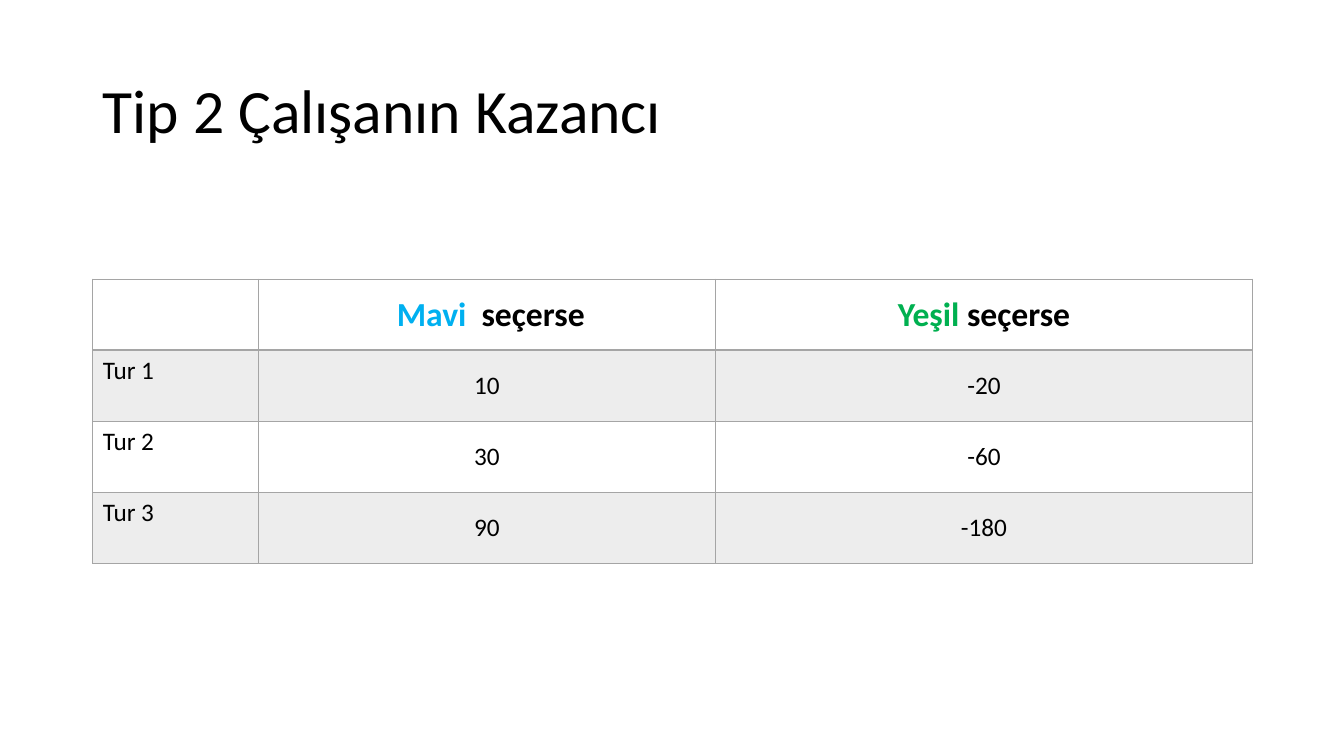
import pptx
import pptx.util
import pptx.dml.color
import pptx.enum.text
import pptx.oxml
import pptx.oxml.ns

Inches = pptx.util.Inches
Align = pptx.enum.text.PP_ALIGN
Anchor = pptx.enum.text.MSO_ANCHOR

COLORS = {
    "text": "000000",
    "blue": "00B0F0",
    "green": "00B050",
    "border": "A5A5A5",
    "band": "EDEDED",
}
FONT = "Calibri"
HEADERS = [
    [],
    [(" Mavi", "blue"), ("  seçerse", "text")],
    [("Yeşil", "green"), (" seçerse", "text")],
]
ROUNDS = [
    ("Tur 1", "10", "-20"),
    ("Tur 2", "30", "-60"),
    ("Tur 3", "90", "-180"),
]
COLUMN_WIDTHS = [1.64, 4.54, 5.32]


def rgb(name):
    return pptx.dml.color.RGBColor.from_string(COLORS[name])


def format_run(run, size, color="text", bold=False):
    run.font.name = FONT
    run.font.size = pptx.util.Pt(size)
    run.font.bold = bold
    run.font.color.rgb = rgb(color)


def add_borders(cell, widths):
    properties = cell._tc.get_or_add_tcPr()
    for side in ("L", "R", "T", "B"):
        width = pptx.util.Pt(widths.get(side, 1))
        properties.append(pptx.oxml.parse_xml(
            f'<a:ln{side} {pptx.oxml.ns.nsdecls("a")} w="{width}">'
            f'<a:solidFill><a:srgbClr val="{COLORS["border"]}"/></a:solidFill>'
            f'</a:ln{side}>'
        ))


def add_title(slide, left, top, width, height):
    title = slide.shapes.title
    title.left, title.top = Inches(left), Inches(top)
    title.width, title.height = Inches(width), Inches(height)
    text_frame = title.text_frame
    text_frame.text = "Tip 2 Çalışanın Kazancı"
    text_frame.word_wrap = True
    text_frame.auto_size = pptx.enum.text.MSO_AUTO_SIZE.NONE
    text_frame.vertical_anchor = Anchor.MIDDLE
    paragraph = text_frame.paragraphs[0]
    paragraph.alignment = Align.LEFT
    paragraph.line_spacing = 0.9
    format_run(paragraph.runs[0], 44)


def add_earnings_table(slide, left, top, width, height):
    rows = [HEADERS] + [[[(value, "text")] for value in values] for values in ROUNDS]
    table = slide.shapes.add_table(
        len(rows), len(COLUMN_WIDTHS),
        Inches(left), Inches(top), Inches(width), Inches(height),
    ).table
    table.first_row = False
    table.horz_banding = False
    for column, share in zip(table.columns, COLUMN_WIDTHS):
        column.width = Inches(width * share / sum(COLUMN_WIDTHS))

    for row_index, row in enumerate(rows):
        is_header = row_index == 0
        for column_index, pieces in enumerate(row):
            cell = table.cell(row_index, column_index)
            add_borders(cell, {0: {"B": 2}, 1: {"T": 2}}.get(row_index, {}))
            if row_index % 2:
                cell.fill.solid()
                cell.fill.fore_color.rgb = rgb("band")
            else:
                cell.fill.background()
            paragraph = cell.text_frame.paragraphs[0]
            if column_index:
                cell.vertical_anchor = Anchor.MIDDLE
                paragraph.alignment = Align.CENTER
            for text, color in pieces:
                run = paragraph.add_run()
                run.text = text
                format_run(run, 24 if is_header else 18, color, is_header)


presentation = pptx.Presentation()
presentation.slide_width = Inches(13.33)
presentation.slide_height = Inches(7.5)
slide = presentation.slides.add_slide(presentation.slide_layouts[5])
add_title(slide, 0.92, 0.4, 11.5, 1.45)
add_earnings_table(slide, 0.92, 2.77, 11.5, 2.82)
presentation.save("out.pptx")
